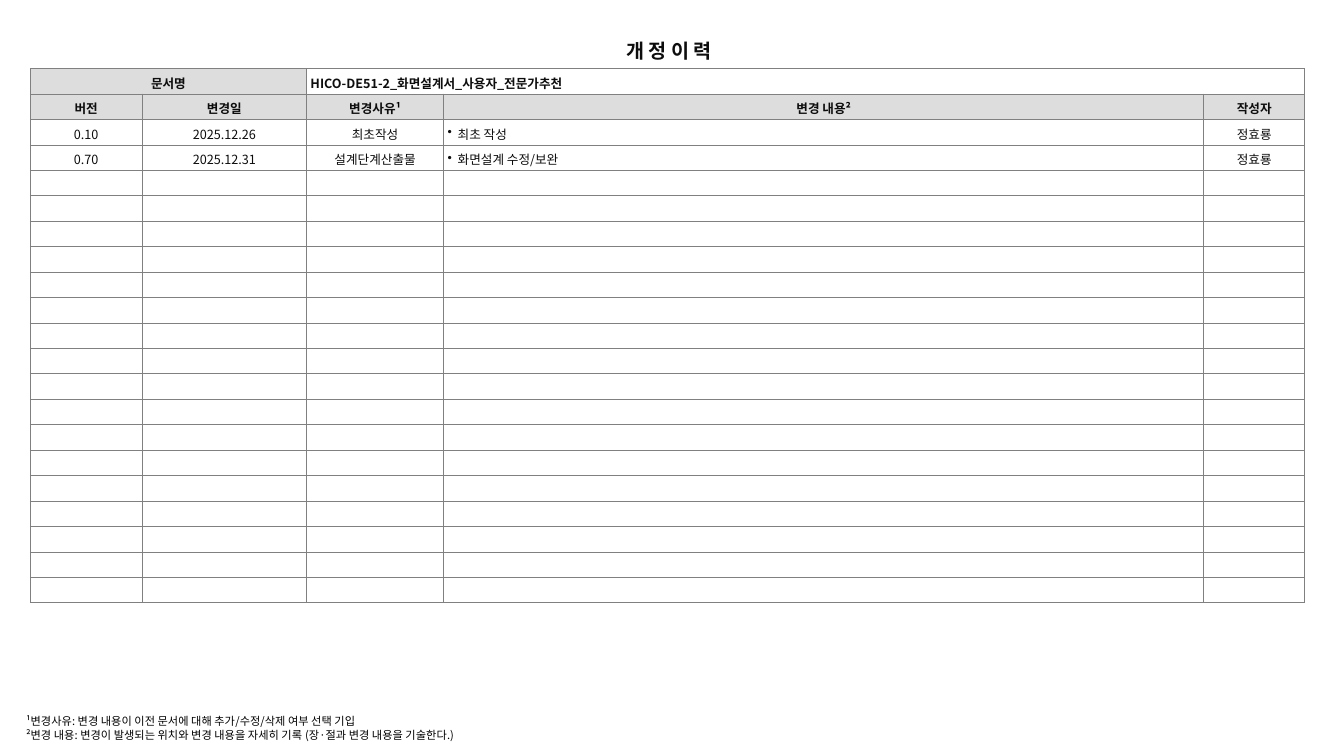
import pptx
import pptx.dml.color
import pptx.enum.text
import pptx.oxml.ns
import pptx.util
from lxml import etree
from pptx.util import Inches

FONT = "Noto Sans CJK KR"
COLORS = {"ink": "0D0D0D", "black": "000000", "header": "DDDDDD", "body": "FFFFFF", "border": "808080"}
CENTER = pptx.enum.text.PP_ALIGN.CENTER
LEFT = pptx.enum.text.PP_ALIGN.LEFT
qn = pptx.oxml.ns.qn


def add_run(paragraph, text, size, color="ink", bold=False):
    run = paragraph.add_run()
    run.text = text
    run.font.size = pptx.util.Pt(size)
    run.font.bold = bold
    run.font.color.rgb = pptx.dml.color.RGBColor.from_string(COLORS[color])
    run.font.name = FONT
    etree.SubElement(run.font._element, qn("a:ea"), typeface=FONT)


def style_cell(cell, fill):
    """Set the margins, fill and thin border of one table cell."""
    cell.margin_left = cell.margin_right = Inches(0.04)
    cell.margin_top = Inches(0.05)
    cell.margin_bottom = Inches(0.02)
    cell.vertical_anchor = pptx.enum.text.MSO_ANCHOR.MIDDLE
    cell.fill.solid()
    cell.fill.fore_color.rgb = pptx.dml.color.RGBColor.from_string(COLORS[fill])
    properties = cell._tc.get_or_add_tcPr()
    for position, side in enumerate(("lnL", "lnR", "lnT", "lnB")):
        line = etree.Element(qn(f"a:{side}"), w=str(pptx.util.Pt(0.5)))
        solid = etree.SubElement(line, qn("a:solidFill"))
        etree.SubElement(solid, qn("a:srgbClr"), val=COLORS["border"])
        properties.insert(position, line)


presentation = pptx.Presentation()
presentation.slide_width = Inches(13.33)
presentation.slide_height = Inches(7.5)
slide = presentation.slides.add_slide(presentation.slide_layouts[6])

title = slide.shapes.add_textbox(Inches(3.51), Inches(0.34), Inches(6.25), Inches(0.34)).text_frame
title.word_wrap = True
title.paragraphs[0].alignment = CENTER
add_run(title.paragraphs[0], "개 정 이 력", 14, bold=True)

# Revision history table
column_widths = [1.11, 1.63, 1.36, 7.54, 1]
row_count = 21
table_height = Inches(5.3)
history = slide.shapes.add_table(
    row_count, len(column_widths), Inches(0.3), Inches(0.68), Inches(sum(column_widths)), table_height
).table
history.first_row = False
history.horz_banding = False
for column, width in zip(history.columns, column_widths):
    column.width = Inches(width)
for row in history.rows:
    row.height = table_height // row_count

contents = [
    ["문서명", "", "HICO-DE51-2_화면설계서_사용자_전문가추천", "", ""],
    ["버전", "변경일", "변경사유¹", "변경 내용²", "작성자"],
    ["0.10", "2025.12.26", "최초작성", "최초 작성", "정효룡"],
    ["0.70", "2025.12.31", "설계단계산출물", "화면설계 수정/보완", "정효룡"],
]
HEADER_ROWS = 2
DETAIL_COLUMN = 3

for row_index in range(row_count):
    for column_index in range(len(column_widths)):
        cell = history.cell(row_index, column_index)
        is_name = row_index == 0 and column_index >= 2
        is_header = row_index < HEADER_ROWS
        style_cell(cell, "header" if is_header and not is_name else "body")
        paragraph = cell.text_frame.paragraphs[0]
        text = contents[row_index][column_index] if row_index < len(contents) else ""
        if not text:
            etree.SubElement(paragraph._p, qn("a:endParaRPr"), sz="900")
            continue
        is_detail = not is_header and column_index == DETAIL_COLUMN
        paragraph.alignment = LEFT if is_name or is_detail else CENTER
        if is_detail:
            properties = paragraph._p.get_or_add_pPr()
            properties.set("marL", str(Inches(0.1)))
            properties.set("indent", str(Inches(-0.1)))
            etree.SubElement(properties, qn("a:buChar"), char="•")
        label = text.rstrip("¹²")
        add_run(paragraph, label, 9, bold=is_header)
        if label != text:
            add_run(paragraph, text[len(label):], 9, "black", bold=True)

history.cell(0, 0).merge(history.cell(0, 1))
history.cell(0, 2).merge(history.cell(0, 4))

footnotes = slide.shapes.add_textbox(Inches(0.16), Inches(7.04), Inches(4.91), Inches(0.41)).text_frame
footnotes.word_wrap = True
first_note = footnotes.paragraphs[0]
add_run(first_note, "¹변경사유: 변경 내용이 이전 문서에 대해 추가/수정/삭제 여부 선택 기입", 8, "black")
second_note = footnotes.add_paragraph()
second_note.space_before = pptx.util.Pt(0.5)
add_run(second_note, "²변경 내용: 변경이 발생되는 위치와 변경 내용을 자세히 기록 (장·절과 변경 내용을 기술한다.)", 8, "black")

presentation.save("out.pptx")
